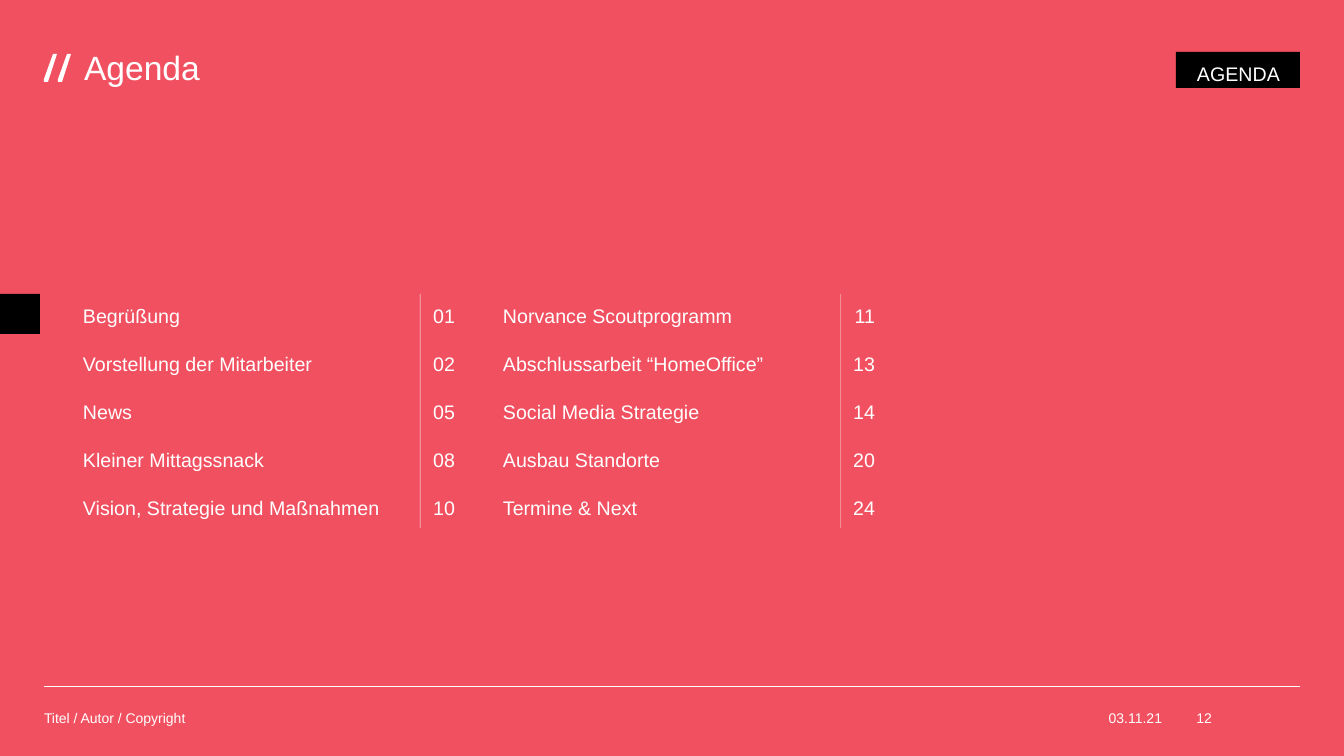
from dataclasses import dataclass
from lxml import etree
from pptx import Presentation
from pptx.dml.color import RGBColor
from pptx.enum.shapes import MSO_CONNECTOR, MSO_SHAPE
from pptx.enum.text import MSO_ANCHOR, MSO_AUTO_SIZE, PP_ALIGN
from pptx.oxml.ns import qn
from pptx.shapes.autoshape import Shape
from pptx.slide import Slide
from pptx.util import Emu, Pt

LEFT, RIGHT = PP_ALIGN.LEFT, PP_ALIGN.RIGHT
TOP, MIDDLE = MSO_ANCHOR.TOP, MSO_ANCHOR.MIDDLE
GROW = MSO_AUTO_SIZE.SHAPE_TO_FIT_TEXT
RECT = MSO_SHAPE.RECTANGLE
LINE = MSO_CONNECTOR.STRAIGHT
SCALE = 12192000 / 1344
COLORS = {"back": "F15060", "text": "FFFFFF", "mark": "000000"}
FONT = "Arial"
ROW_TOP, ROW_STEP, ROW_SIZE = 294, 48, 39
TOPIC_WIDTH, RULE_SIZE = 337, 234


@dataclass
class Box:
    left: int
    top: int
    width: int
    height: int


@dataclass
class Style:
    size: int
    align: PP_ALIGN = LEFT
    anchor: MSO_ANCHOR = MIDDLE
    space: float = 1.0
    inset: tuple[int, int, int, int] = (0, 0, 0, 0)


@dataclass
class Column:
    left: int
    rule: int
    items: list[tuple[str, str]]


@dataclass
class Note:
    box: Box
    text: str
    align: PP_ALIGN


TOPIC = Style(14, space=1.2, inset=(0, 0, 8, 0))
PAGE = Style(14, RIGHT, space=1.2, inset=(0, 0, 4, 0))
BADGE = Style(14, RIGHT, TOP, 1.2, (20, 5, 20, 5))
TITLE = Style(24, anchor=TOP, space=0.9)

COLUMNS = [
    Column(83, 420, [
        ("Begrüßung", "01"),
        ("Vorstellung der Mitarbeiter", "02"),
        ("News", "05"),
        ("Kleiner Mittagssnack", "08"),
        ("Vision, Strategie und Maßnahmen", "10"),
    ]),
    Column(503, 840, [
        ("Norvance Scoutprogramm", "11"),
        ("Abschlussarbeit “HomeOffice”", "13"),
        ("Social Media Strategie", "14"),
        ("Ausbau Standorte", "20"),
        ("Termine & Next", "24"),
    ]),
]
NOTES = [
    Note(Box(1086, 698, 76, 39), "03.11.21", RIGHT),
    Note(Box(44, 698, 612, 39), "Titel / Autor / Copyright", LEFT),
    Note(Box(1181, 698, 31, 39), "12", RIGHT),
]
SLASH = [(44, 82), (44, 79), (53, 54), (57, 54), (48, 82)]
SLASH_STEP = 14


def px(value: int) -> Emu:
    return Emu(round(value * SCALE))


def color(name: str) -> RGBColor:
    return RGBColor.from_string(COLORS[name])


def place(box: Box) -> tuple[Emu, Emu, Emu, Emu]:
    return px(box.left), px(box.top), px(box.width), px(box.height)


def write(shape: Shape, text: str, style: Style, wrap: bool = True) -> None:
    frame = shape.text_frame
    frame.text = text
    frame.word_wrap = wrap
    frame.vertical_anchor = style.anchor
    (frame.margin_left, frame.margin_top,
     frame.margin_right, frame.margin_bottom) = map(px, style.inset)
    line = frame.paragraphs[0]
    line.alignment = style.align
    line.line_spacing = style.space
    line.space_before = Pt(0)
    line.font.name = FONT
    line.font.size = Pt(style.size)
    line.font.color.rgb = color("text")


def paint(shape: Shape, fill: str) -> None:
    shape.shadow.inherit = False
    shape.fill.solid()
    shape.fill.fore_color.rgb = color(fill)
    shape.line.fill.background()


def add_rect(slide: Slide, box: Box, fill: str) -> Shape:
    shape = slide.shapes.add_shape(RECT, *place(box))
    paint(shape, fill)
    return shape


def add_text(slide: Slide, box: Box, text: str, style: Style) -> None:
    write(slide.shapes.add_textbox(*place(box)), text, style)


def add_slash(slide: Slide, shift: int) -> None:
    points = [(x + shift, y) for x, y in SLASH]
    form = slide.shapes.build_freeform(*points[0], scale=SCALE)
    form.add_line_segments(points[1:], close=True)
    paint(form.convert_to_shape(), "text")


def add_title(slide: Slide) -> None:
    title = slide.shapes.title
    title.left, title.top, title.width, title.height = place(Box(84, 51, 1216, 36))
    write(title, "Agenda", TITLE)
    title.text_frame.auto_size = GROW


def add_foot(slide: Slide) -> None:
    rule = slide.shapes.add_connector(LINE, px(44), px(686), px(1300), px(686))
    rule.line.color.rgb = color("text")
    rule.line.width = Pt(0.5)
    etree.SubElement(rule.element.spPr, qn("a:effectLst"))
    for note in NOTES:
        add_text(slide, note.box, note.text, Style(10, note.align))


def add_column(slide: Slide, column: Column) -> None:
    for row, (topic, page) in enumerate(column.items):
        top = ROW_TOP + row * ROW_STEP
        add_text(slide, Box(column.left, top, TOPIC_WIDTH, ROW_SIZE), topic, TOPIC)
        add_text(slide, Box(column.rule, top, ROW_SIZE, ROW_SIZE), page, PAGE)
    rule = add_rect(slide, Box(column.rule, ROW_TOP, 1, RULE_SIZE), "text")
    rule.width = Pt(0.25)


def main() -> None:
    deck = Presentation()
    deck.slide_width, deck.slide_height = px(1344), px(756)
    slide = deck.slides.add_slide(deck.slide_layouts[5])
    slide.background.fill.solid()
    slide.background.fill.fore_color.rgb = color("back")
    for shift in (0, SLASH_STEP):
        add_slash(slide, shift)
    add_title(slide)
    add_foot(slide)
    add_rect(slide, Box(0, ROW_TOP, 40, 40), "mark")
    for column in COLUMNS:
        add_column(slide, column)
    badge = add_rect(slide, Box(1176, 52, 124, 36), "mark")
    write(badge, "AGENDA", BADGE, wrap=False)
    badge.text_frame.auto_size = GROW
    deck.save("out.pptx")


if __name__ == "__main__":
    main()
